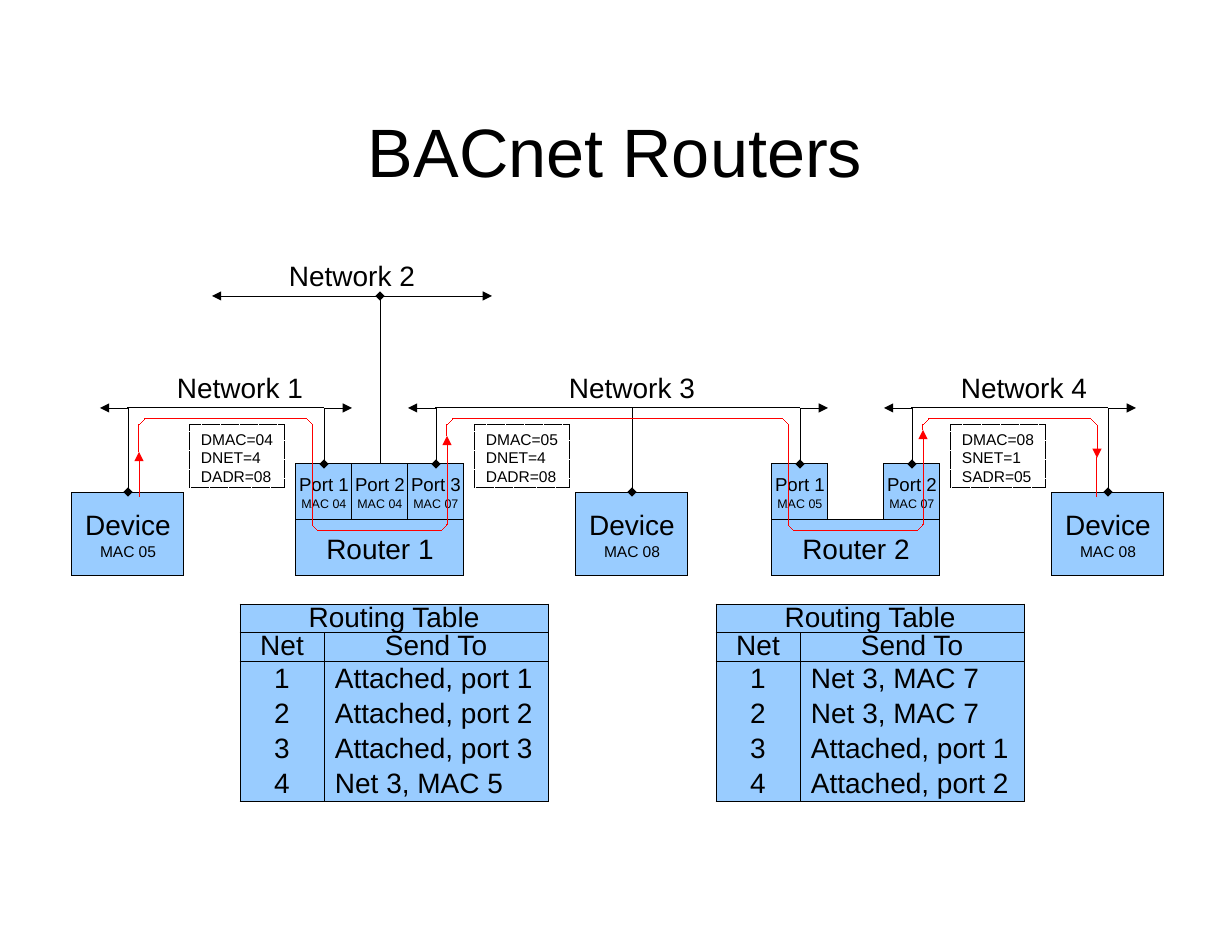
from pptx import Presentation
from pptx.dml.color import RGBColor as RGB
from pptx.enum.dml import MSO_LINE as Dash
from pptx.enum.shapes import MSO_CONNECTOR as Link, MSO_SHAPE as Kind
from pptx.enum.text import MSO_ANCHOR as Anchor, PP_ALIGN as Align
from pptx.oxml.ns import qn
from pptx.util import Pt
from lxml.etree import SubElement as sub

PX = 914400 / 112
BLUE, BLACK, RED = "99CCFF", "000000", "FF0000"


def px(n):
    """Turn px into EMU."""
    return round(n * PX)


def paint(part, tone):
    """Give a fill or a font its colour."""
    if hasattr(part, "solid"):
        part.solid()
        part.fore_color.rgb = RGB.from_string(tone)
    else:
        part.color.rgb = RGB.from_string(tone)


def thin(shape, tone):
    """Give a shape a hairline and return its line element."""
    paint(shape.line, tone)
    rule = shape.line._get_or_add_ln()
    rule.set("w", "0")
    return rule


def write(frame, rows, align=Align.CENTER, gap=None):
    """Fill a text frame with (text, size) rows."""
    for i, (text, size) in enumerate(rows):
        para = frame.add_paragraph() if i else frame.paragraphs[0]
        para.text = text
        para.alignment = align
        para.line_spacing = gap
        para.font.size = Pt(size)
        para.font.name = "Arial"
        paint(para.font, BLACK)


def label(slide, x, y, w, h, text, size):
    """Place a centred text box."""
    frame = slide.shapes.add_textbox(px(x), px(y), px(w), px(h)).text_frame
    frame.word_wrap = True
    write(frame, [(text, size)])
    return frame


def block(slide, x, y, w, h, rows):
    """Place a hairline box with centred rows of text."""
    box = slide.shapes.add_shape(Kind.RECTANGLE, px(x), px(y), px(w), px(h))
    box.shadow.inherit = False
    paint(box.fill, BLUE)
    thin(box, BLACK)
    box.text_frame.word_wrap = False
    box.text_frame.vertical_anchor = Anchor.MIDDLE
    write(box.text_frame, rows)
    return box


def line(slide, start, end, tone=BLACK, head=None, tail=None):
    """Draw a hairline with optional ends."""
    link = slide.shapes.add_connector(Link.STRAIGHT, *map(px, (*start, *end)))
    rule = thin(link, tone)
    sub(link._element.spPr, qn("a:effectLst"))
    for tag, kind in (("a:headEnd", head), ("a:tailEnd", tail)):
        if kind:
            sub(rule, qn(tag), type=kind)
    return link


def device(slide, x, y, mac):
    """Place a device."""
    return block(slide, x, y, 112, 84, [("Device", 18), (mac, 10)])


def router(slide, x, y, name, ports):
    """Place a router under its ports and return the ports."""
    block(slide, x, y + 56, 168, 56, [(name, 18)])
    return [block(slide, x + 56 * col, y, 56, 56, [(port, 12), (mac, 8)])
            for col, port, mac in ports]


def network(slide, left, right, y, name, x, taps, ends=("diamond", None)):
    """Draw a bus with its name and a drop to each tapped box."""
    mids = [round((tap.left + tap.width / 2) / PX) for tap in taps]
    line(slide, (mids[0], y), (left, y), tail="triangle")
    line(slide, (mids[-1], y), (right, y), tail="triangle")
    if len(mids) > 1:
        line(slide, (mids[0], y), (mids[-1], y))
    for mid, tap in zip(mids, taps):
        drop = line(slide, (mid, round(tap.top / PX)), (mid, y), BLACK, *ends)
        drop.begin_connect(tap, 0)
    label(slide, x, y - 43, 168, 42, name, 18)


def step(spot, goal, size):
    """Move from a spot toward a goal along one axis."""
    return tuple(a + max(-size, min(size, b - a)) for a, b in zip(spot, goal))


def leg(slide, spots, tip):
    """Draw a red path with cut corners and an optional end arrow."""
    points = [spots[0]]
    for last, spot, goal in zip(spots, spots[1:], spots[2:]):
        points += [step(spot, last, 6), step(spot, goal, 6)]
    points.append(spots[-1])
    pairs = list(zip(points, points[1:]))
    for start, end in pairs[:-1]:
        line(slide, start, end, RED)
    line(slide, *pairs[-1], RED, tail=tip)


def note(slide, x, y, rows):
    """Place a dashed box listing packet fields."""
    box = slide.shapes.add_shape(Kind.RECTANGLE, px(x), px(y), px(95), px(64))
    box.shadow.inherit = False
    box.fill.background()
    thin(box, BLACK)
    box.line.dash_style = Dash.SQUARE_DOT
    box.text_frame.vertical_anchor = Anchor.TOP
    write(box.text_frame, [(row, 10) for row in rows], Align.LEFT)


def edge(cell, sides):
    """Rule the given sides of a cell and clear the others."""
    props = cell._tc.get_or_add_tcPr()
    for i, side in enumerate("LRTB"):
        rule = props.makeelement(qn("a:ln" + side), {"w": str(px(1))})
        if side in sides:
            sub(sub(rule, qn("a:solidFill")), qn("a:srgbClr"), val=BLACK)
        else:
            sub(rule, qn("a:noFill"))
        props.insert(i, rule)


def routes(slide, x, y, goals):
    """Place a routing table."""
    rows = [("Routing Table", ""), ("Net", "Send To")]
    rows += [(str(i), goal) for i, goal in enumerate(goals, 1)]
    grid = slide.shapes.add_table(
        len(rows), 2, px(x), px(y), px(308), px(196)).table
    for col, wide in zip(grid.columns, (84, 224)):
        col.width = px(wide)
    for r, row in enumerate(rows):
        top = r < 2
        sides = "LR" + "T" * (r < 3) + "B" * (top or r == len(rows) - 1)
        grid.rows[r].height = px(28 if top else 35)
        for c, text in enumerate(row):
            cell = grid.cell(r, c)
            paint(cell.fill, BLUE)
            cell.margin_top = cell.margin_bottom = 0
            cell.margin_left = cell.margin_right = px(11)
            cell.vertical_anchor = Anchor.BOTTOM if top else Anchor.MIDDLE
            align = Align.LEFT if c and not top else Align.CENTER
            write(cell.text_frame, [(text, 18)], align, 0.85 if top else None)
            edge(cell, sides)
    grid.cell(0, 0).merge(grid.cell(0, 1))


def main():
    """Build the slide."""
    deck = Presentation()
    deck.slide_width, deck.slide_height = px(1232), px(952)
    slide = deck.slides.add_slide(deck.slide_layouts[6])

    title = label(slide, 101, 78, 1029, 145, "BACnet Routers", 44)
    title.vertical_anchor = Anchor.MIDDLE

    west, mid, east = [device(slide, x, 492, mac) for x, mac in (
        (72, "MAC 05"), (576, "MAC 08"), (1052, "MAC 08"))]
    one, two, three = router(slide, 296, 464, "Router 1", [
        (0, "Port 1", "MAC 04"), (1, "Port 2", "MAC 04"),
        (2, "Port 3", "MAC 07")])
    near, far = router(slide, 772, 464, "Router 2", [
        (0, "Port 1", "MAC 05"), (2, "Port 2", "MAC 07")])

    network(slide, 100, 352, 408, "Network 1", 156, [west, one])
    network(slide, 212, 492, 296, "Network 2", 268, [two], (None, "diamond"))
    network(slide, 408, 828, 408, "Network 3", 548, [three, mid, near])
    network(slide, 884, 1136, 408, "Network 4", 940, [far, east])

    top, low = 419, 531
    for spots, tip in (
            ([(139, 497), (139, 452)], "triangle"),
            ([(139, 452), (139, top), (313, top), (313, low), (447, low),
              (447, 436)], "triangle"),
            ([(447, 436), (447, top), (789, top), (789, low), (923, low),
              (923, 430)], "triangle"),
            ([(923, 430), (923, top), (1097, top), (1097, 458)], "triangle"),
            ([(1097, 458), (1097, 497)], None)):
        leg(slide, spots, tip)

    note(slide, 190, 424, ["DMAC=04", "DNET=4", "DADR=08"])
    note(slide, 475, 424, ["DMAC=05", "DNET=4", "DADR=08"])
    note(slide, 951, 424, ["DMAC=08", "SNET=1", "SADR=05"])

    routes(slide, 240, 604, ["Attached, port 1", "Attached, port 2",
                             "Attached, port 3", "Net 3, MAC 5"])
    routes(slide, 716, 604, ["Net 3, MAC 7", "Net 3, MAC 7",
                             "Attached, port 1", "Attached, port 2"])
    deck.save("out.pptx")


if __name__ == "__main__":
    main()
